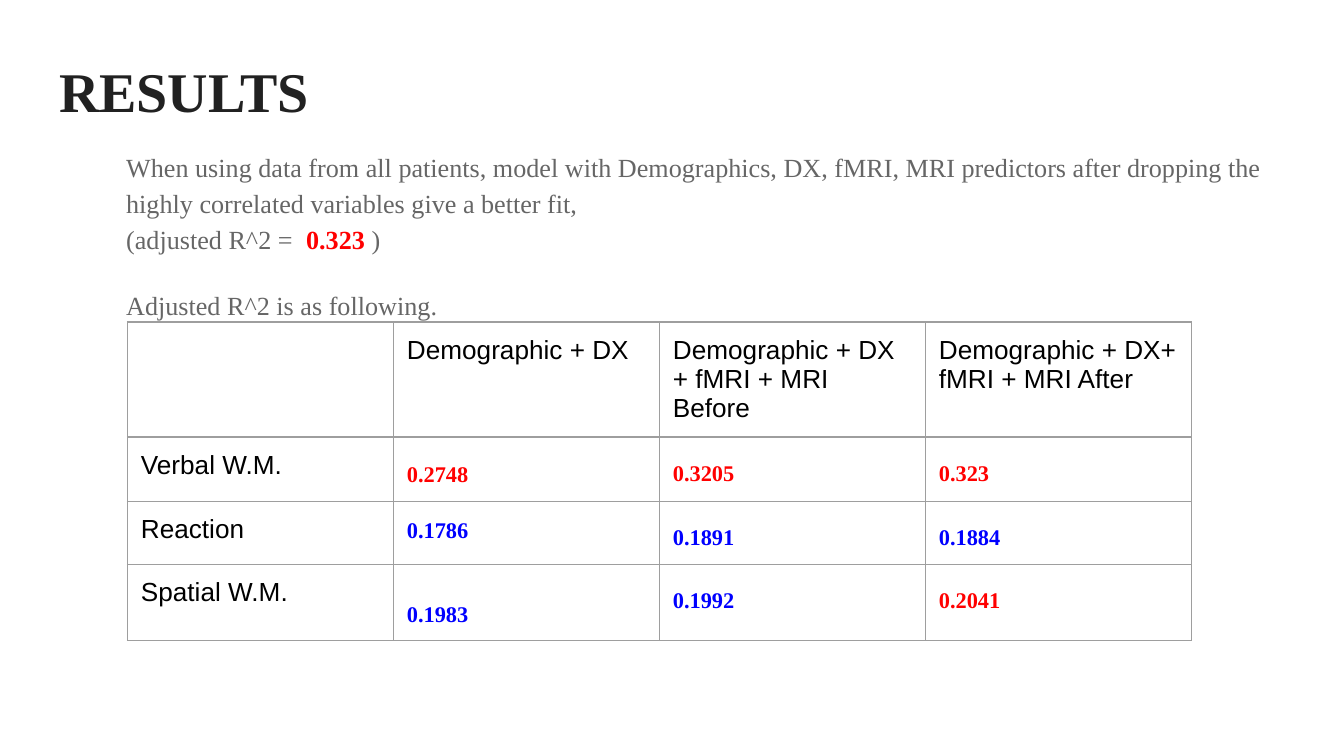
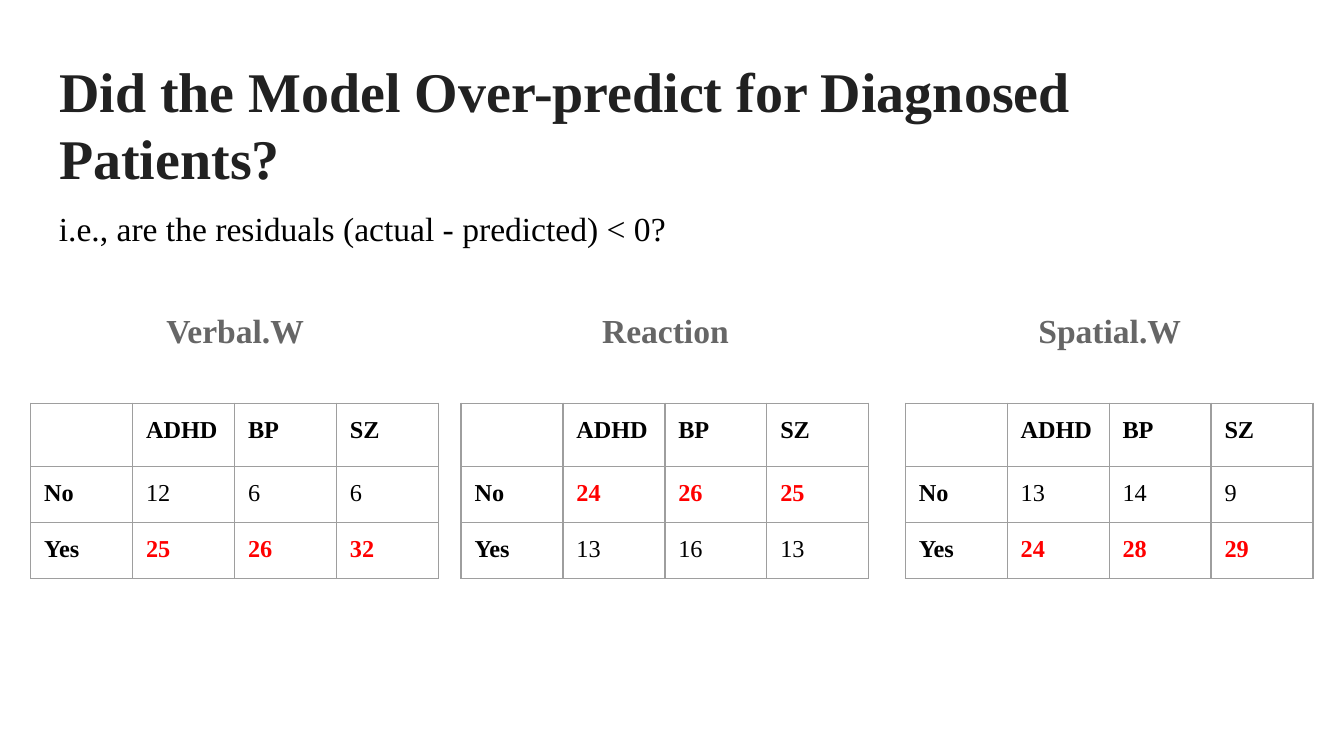
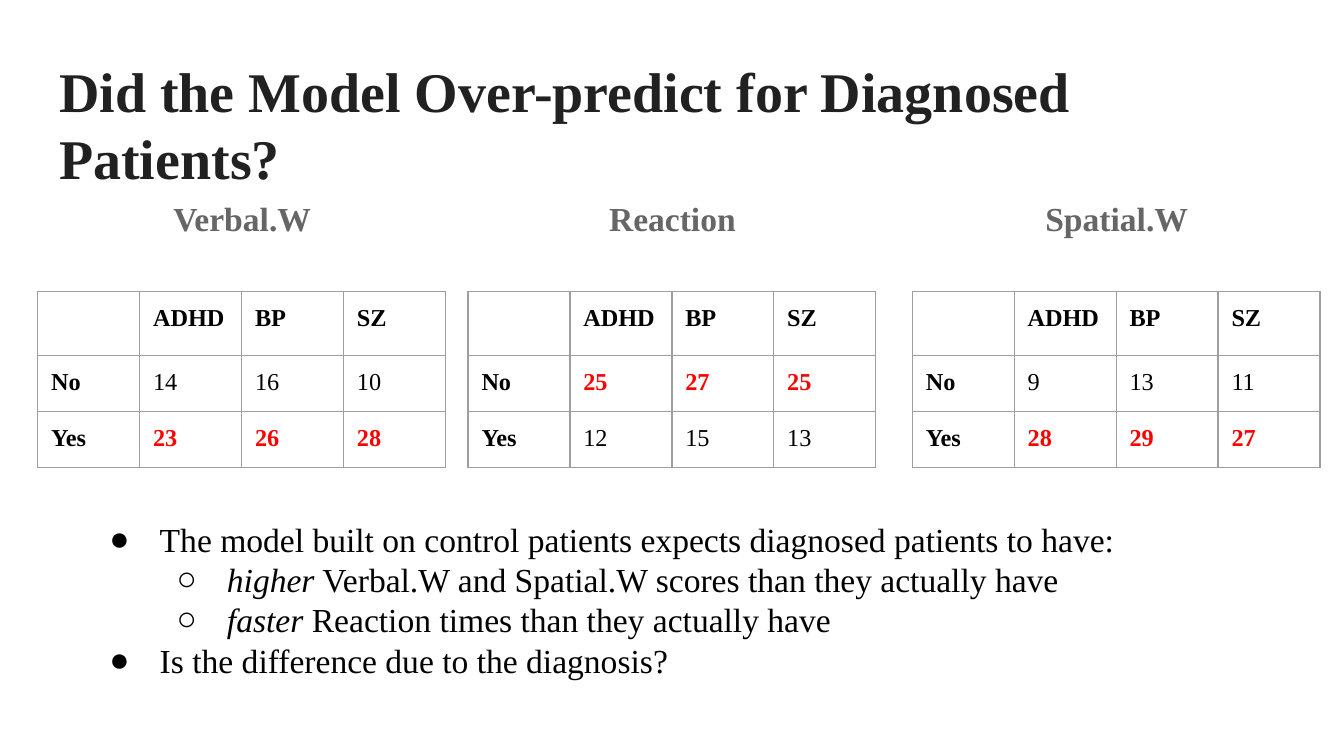
from lxml.etree import SubElement
from pptx import Presentation
from pptx.dml.color import RGBColor
from pptx.enum.text import MSO_ANCHOR, MSO_AUTO_SIZE, PP_ALIGN
from pptx.oxml.ns import qn
from pptx.util import Pt

COLORS = {"title": "212121", "muted": "666666", "text": "000000",
          "high": "FF0000", "low": "0000FF", "border": "9E9E9E"}
SERIF, SANS = "Times New Roman", "Arial"
INSET = Pt(7.2)

TITLE = {"name": SERIF, "size": Pt(30), "bold": True, "color": "title"}
BODY = {"name": SERIF, "size": Pt(14), "bold": False, "color": "muted"}
HEADING = {"name": SERIF, "size": Pt(18), "bold": True, "color": "muted"}
NOTE = {"name": SERIF, "size": Pt(18), "color": "text"}
LABEL = {"name": SANS, "size": Pt(14), "bold": False, "color": "text"}
SCORE = {"name": SERIF, "size": Pt(12), "bold": True}
COUNT = {"name": SERIF, "size": Pt(13), "bold": False, "color": "text"}
COUNT_LABEL = COUNT | {"bold": True}
COUNT_HIGH = COUNT_LABEL | {"color": "high"}

OVER_PREDICT = "Did the Model Over-predict for Diagnosed Patients?"
DIAGNOSES = ["ADHD", "BP", "SZ"]
MEASURE_LEFTS = {"Verbal.W": 24.5, "Reaction": 255, "Spatial.W": 493}


class Deck:
    def __init__(self):
        self.prs = Presentation()
        self.prs.slide_width, self.prs.slide_height = Pt(720), Pt(405)
        self.slide = None

    def add_slide(self, title):
        self.slide = self.prs.slides.add_slide(self.prs.slide_layouts[5])
        heading = self.slide.shapes.title
        place = {"left": 24.5, "top": 23, "width": 671, "height": 63.4}
        for side, length in place.items():
            setattr(heading, side, Pt(length))
        self.frame(heading.text_frame)
        self.add_runs(heading.text_frame.paragraphs[0], [(title, TITLE)])

    def frame(self, frame):
        settings = {"margin_left": INSET, "margin_right": INSET,
                    "margin_top": INSET, "margin_bottom": INSET,
                    "word_wrap": True, "auto_size": MSO_AUTO_SIZE.NONE,
                    "vertical_anchor": MSO_ANCHOR.TOP}
        for key, value in settings.items():
            setattr(frame, key, value)

    def add_runs(self, paragraph, runs, **layout):
        """Fill a paragraph with (text, font style) runs; newlines become line breaks."""
        for key, value in ({"alignment": PP_ALIGN.LEFT} | layout).items():
            setattr(paragraph, key, value)
        for text, style in runs:
            for number, line in enumerate(text.split("\n")):
                if number:
                    paragraph.add_line_break()
                run = paragraph.add_run()
                run.text = line
                for key, value in style.items():
                    if key == "color":
                        run.font.color.rgb = RGBColor.from_string(COLORS[value])
                    else:
                        setattr(run.font, key, value)

    def text(self, left, top, width, height, paragraphs):
        """Add a text box from (runs, layout) pairs and return its paragraphs."""
        box = self.slide.shapes.add_textbox(Pt(left), Pt(top), Pt(width), Pt(height))
        frame = box.text_frame
        self.frame(frame)
        for number, (runs, layout) in enumerate(paragraphs):
            paragraph = frame.add_paragraph() if number else frame.paragraphs[0]
            self.add_runs(paragraph, runs, **layout)
        return frame.paragraphs

    def indent(self, paragraph, left, hanging=0, bullet=None):
        props = paragraph._p.get_or_add_pPr()
        props.set("marL", str(Pt(left)))
        props.set("indent", str(-Pt(hanging)))
        if bullet:
            color = SubElement(props, qn("a:buClr"))
            SubElement(color, qn("a:srgbClr"), val=COLORS["text"])
            SubElement(props, qn("a:buFont"), typeface=SERIF)
            SubElement(props, qn("a:buChar"), char=bullet)

    def bullets(self, left, top, width, height, items):
        """Add a bulleted list from (level, runs) pairs."""
        paragraphs = self.text(left, top, width, height,
                               [(runs, {"level": level}) for level, runs in items])
        for paragraph in paragraphs:
            level = paragraph.level
            self.indent(paragraph, 36 * (level + 1), 27, "●○"[level])

    def table(self, left, top, column_width, row_heights, rows):
        """Add a bordered table from rows of (text, style, line spacing) cells."""
        columns = len(rows[0])
        table = self.slide.shapes.add_table(
            len(rows), columns, Pt(left), Pt(top),
            Pt(column_width * columns), Pt(sum(row_heights))).table
        table.first_row = table.horz_banding = False
        for column in table.columns:
            column.width = Pt(column_width)
        for row, height, cells in zip(table.rows, row_heights, rows):
            row.height = Pt(height)
            for cell, content in zip(row.cells, cells):
                self.cell(cell, *content)

    def cell(self, cell, text, style, spacing=1.0):
        for side in ("left", "right", "top", "bottom"):
            setattr(cell, f"margin_{side}", INSET)
        props = cell._tc.get_or_add_tcPr()
        for edge in "LRTB":
            line = SubElement(props, qn(f"a:ln{edge}"), w=str(Pt(0.75)))
            fill = SubElement(line, qn("a:solidFill"))
            SubElement(fill, qn("a:srgbClr"), val=COLORS["border"])
        cell.fill.background()
        paragraph = cell.text_frame.paragraphs[0]
        if text:
            self.add_runs(paragraph, [(text, style)], line_spacing=spacing)
        else:
            size = str(int(style["size"].pt * 100))
            SubElement(paragraph._p, qn("a:endParaRPr"), sz=size)

    def residual_tables(self, top, shift, measures):
        """Add one headed No/Yes table per measure, the larger count of each pair in red."""
        for measure, answers in measures.items():
            left = MEASURE_LEFTS[measure] + shift
            self.text(left, top, 203, 263, [([(measure, HEADING)], {
                "alignment": PP_ALIGN.CENTER, "line_spacing": 1.15})])
            larger = [max(pair) for pair in zip(*answers)]
            rows = [[(name, COUNT_LABEL) for name in ["", *DIAGNOSES]]]
            for answer, counts in zip(("No", "Yes"), answers):
                rows.append([(answer, COUNT_LABEL)] + [
                    (str(count), COUNT_HIGH if count == most else COUNT)
                    for count, most in zip(counts, larger)])
            self.table(left - 8, top + 60.5, 54.6, [34, 30, 30], rows)


def results(deck):
    deck.add_slide("RESULTS")
    fit = [("When using data from all patients, model with Demographics, DX, fMRI, MRI "
            "predictors after dropping the highly correlated variables give a better fit, \n"
            "(adjusted R^2 =  ", BODY),
           ("0.323 ", BODY | {"bold": True, "color": "high"}), (")", BODY)]
    for paragraph in deck.text(24.5, 71.3, 671, 263, [
            (fit, {"line_spacing": 1.15}),
            ([("Adjusted R^2 is as following.", BODY)],
             {"line_spacing": 1.15, "space_before": Pt(16)})]):
        deck.indent(paragraph, 36)

    models = ["", "Demographic + DX", "Demographic + DX + fMRI + MRI Before",
              "Demographic + DX+ fMRI + MRI After"]
    scores = {"Verbal W.M.": (["0.2748", "0.3205", "0.323"], 1.5),
              "Reaction": (["0.1786", "0.1891", "0.1884"], 1.15),
              "Spatial W.M.": (["0.1983", "0.1992", "0.2041"], 2.0)}
    rows = [[(model, LABEL) for model in models]]
    for measure, (values, first_spacing) in scores.items():
        spacings = [first_spacing, 1.45, 1.45]
        rows.append([(measure, LABEL)] + [
            (value, SCORE | {"color": "high" if float(value) > 0.2 else "low"}, spacing)
            for value, spacing in zip(values, spacings)])
    deck.table(68.3, 172.5, 142.5, [30] * 4, rows)


def residuals(deck):
    deck.add_slide(OVER_PREDICT)
    deck.residual_tables(155.5, 0, {
        "Verbal.W": [(12, 6, 6), (25, 26, 32)],
        "Reaction": [(24, 26, 25), (13, 16, 13)],
        "Spatial.W": [(13, 14, 9), (24, 28, 29)]})
    question = "i.e., are the residuals (actual - predicted) < 0?"
    deck.text(24.5, 104.4, 493, 57.6, [([(question, NOTE)], {})])


def control_model(deck):
    deck.add_slide(OVER_PREDICT)
    deck.residual_tables(95.8, 3.75, {
        "Verbal.W": [(14, 16, 10), (23, 26, 28)],
        "Reaction": [(25, 27, 25), (12, 15, 13)],
        "Spatial.W": [(9, 13, 11), (28, 29, 27)]})
    emphasis = NOTE | {"italic": True}
    deck.bullets(42.5, 270.7, 646.5, 99.4, [
        (0, [("The model built on control patients expects diagnosed patients to have:", NOTE)]),
        (1, [("higher", emphasis),
             (" Verbal.W and Spatial.W scores than they actually have", NOTE)]),
        (1, [("faster", emphasis), (" Reaction times than they actually have", NOTE)]),
        (0, [("Is the difference due to the diagnosis?", NOTE)])])


def main():
    deck = Deck()
    for build in (results, residuals, control_model):
        build(deck)
    deck.prs.save("out.pptx")


if __name__ == "__main__":
    main()
